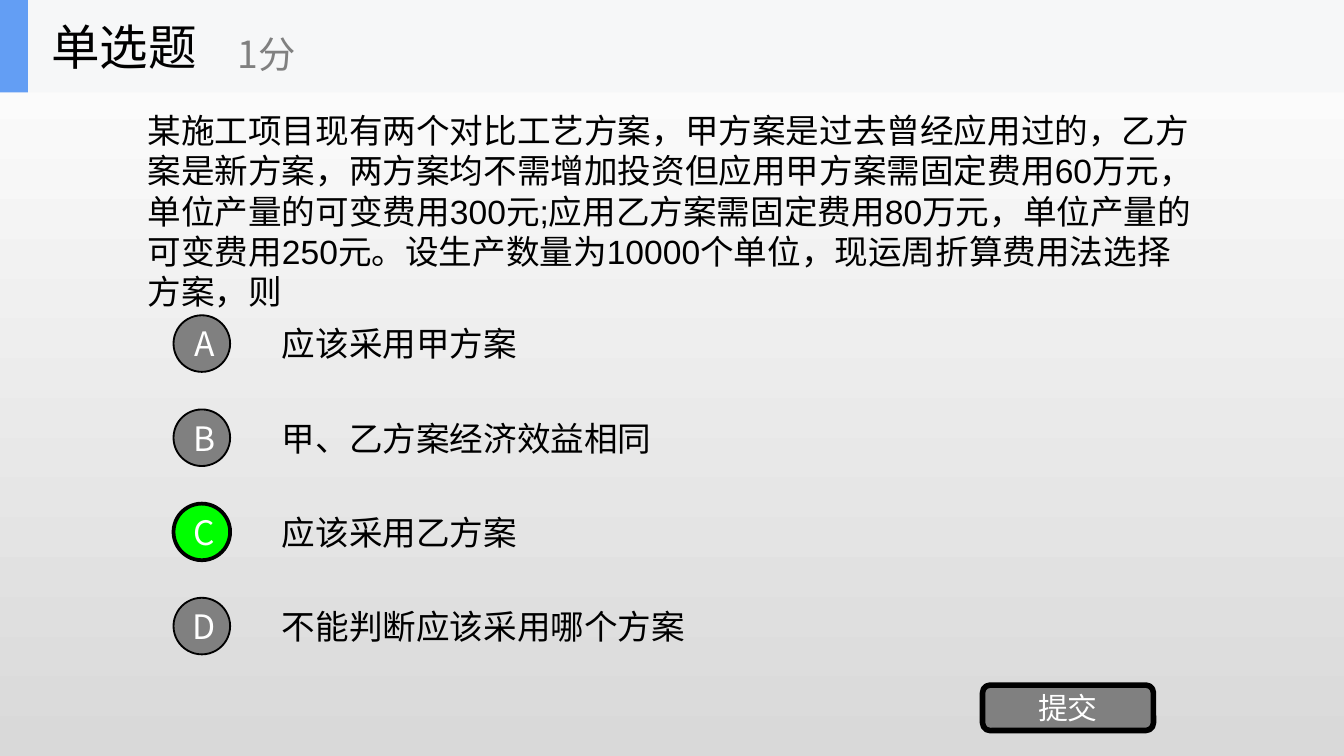
from lxml import etree
from pptx import Presentation
from pptx.dml.color import RGBColor
from pptx.enum import lang, shapes, text
from pptx.oxml import ns
from pptx.util import Cm, Pt

TITLE = "单选题"
SCORE = "1分"
QUESTION = (
    "某施工项目现有两个对比工艺方案，甲方案是过去曾经应用过的，乙方案是新方案，"
    "两方案均不需增加投资但应用甲方案需固定费用60万元，单位产量的可变费用300元;"
    "应用乙方案需固定费用80万元，单位产量的可变费用250元。"
    "设生产数量为10000个单位，现运周折算费用法选择方案，则"
)
OPTIONS = [
    ("A", "应该采用甲方案"),
    ("B", "甲、乙方案经济效益相同"),
    ("C", "应该采用乙方案"),
    ("D", "不能判断应该采用哪个方案"),
]
CORRECT = "C"
SUBMIT = "提交"

BLACK = RGBColor(0x00, 0x00, 0x00)
WHITE = RGBColor(0xFF, 0xFF, 0xFF)
GRAY = RGBColor(0x80, 0x80, 0x80)
LIGHT_GRAY = RGBColor(0xD9, 0xD9, 0xD9)
GREEN = RGBColor(0x00, 0xFF, 0x00)
BAND = RGBColor(0xF6, 0xF7, 0xF8)
BLUE = RGBColor(0x63, 0x9E, 0xF4)
LATIN_FONT = "Arial"
CJK_FONT = "Noto Sans CJK SC"

PAGE_WIDTH, PAGE_HEIGHT = 25.4, 14.29
BAND_HEIGHT = 1.75
ROW_TOP, ROW_PITCH, ROW_HEIGHT = 5.82, 1.78, 1.35
CIRCLE_SIZE = 1.07


def place(box, left, top, width, height):
    box.left, box.top, box.width, box.height = map(Cm, (left, top, width, height))


def write(box, words, size=18, font=CJK_FONT, color=BLACK, align=text.PP_ALIGN.LEFT):
    frame = box.text_frame
    frame.word_wrap = True
    frame.auto_size = text.MSO_AUTO_SIZE.NONE
    frame.vertical_anchor = text.MSO_ANCHOR.MIDDLE
    para = frame.paragraphs[0]
    para.alignment = align
    span = para.add_run()
    span.text = words
    span.font.size = Pt(size)
    span.font.name = font
    span.font.color.rgb = color
    span.font.language_id = lang.MSO_LANGUAGE_ID.SIMPLIFIED_CHINESE
    east_asian = etree.SubElement(span._r.get_or_add_rPr(), ns.qn("a:ea"))
    east_asian.set("typeface", CJK_FONT)


def add_text(page, words, *area, **style):
    box = page.shapes.add_textbox(*map(Cm, area))
    write(box, words, **style)


def add_shape(page, kind, *area, fill, line_width=0):
    shape = page.shapes.add_shape(kind, *map(Cm, area))
    shape.shadow.inherit = False
    shape.fill.solid()
    shape.fill.fore_color.rgb = fill
    if line_width:
        shape.line.color.rgb = BLACK
        shape.line.width = Pt(line_width)
    else:
        shape.line.fill.background()
    return shape


def add_background(page):
    fill = page.background.fill
    fill.gradient()
    fill.gradient_angle = 270
    for stop, color, position in zip(fill.gradient_stops, (WHITE, LIGHT_GRAY), (0, 1)):
        stop.color.rgb = color
        stop.position = position


def add_option(page, row, letter, answer):
    top = ROW_TOP + row * ROW_PITCH
    add_text(page, answer, 5.08, top, 17.78, ROW_HEIGHT, font=LATIN_FONT)
    correct = letter == CORRECT
    circle = add_shape(
        page, shapes.MSO_SHAPE.OVAL,
        3.28, top + (ROW_HEIGHT - CIRCLE_SIZE) / 2, CIRCLE_SIZE, CIRCLE_SIZE,
        fill=GREEN if correct else GRAY, line_width=2 if correct else 1,
    )
    write(circle, letter, color=WHITE, align=text.PP_ALIGN.CENTER)
    frame = circle.text_frame
    frame.margin_left = Cm(0.1)
    frame.margin_right = frame.margin_top = frame.margin_bottom = 0


def add_header(page):
    rectangle = shapes.MSO_SHAPE.RECTANGLE
    add_shape(page, rectangle, 0, 0, PAGE_WIDTH, BAND_HEIGHT, fill=BAND)
    accent = add_shape(page, rectangle, 0, 0, 0.53, BAND_HEIGHT, fill=BLUE)
    title = page.shapes.title
    place(title, 0.71, 0, 5.28, BAND_HEIGHT)
    write(title, TITLE, size=26)
    accent.element.addnext(title.element)  # keeps the title in front of the band
    add_text(page, SCORE, 4.24, 0.3, 6.35, 1.42, size=20, color=GRAY)


def main():
    deck = Presentation()
    deck.slide_width, deck.slide_height = Cm(PAGE_WIDTH), Cm(PAGE_HEIGHT)
    page = deck.slides.add_slide(deck.slide_layouts[5])
    add_background(page)
    add_text(page, QUESTION, 2.54, 1.75, 20.32, 4.47, font=LATIN_FONT)
    for row, (letter, answer) in enumerate(OPTIONS):
        add_option(page, row, letter, answer)
    button = add_shape(
        page, shapes.MSO_SHAPE.ROUNDED_RECTANGLE, 18.57, 12.95, 3.23, 0.86,
        fill=GRAY, line_width=3,
    )
    write(button, SUBMIT, size=16, color=WHITE, align=text.PP_ALIGN.CENTER)
    add_header(page)
    deck.save("out.pptx")


if __name__ == "__main__":
    main()
